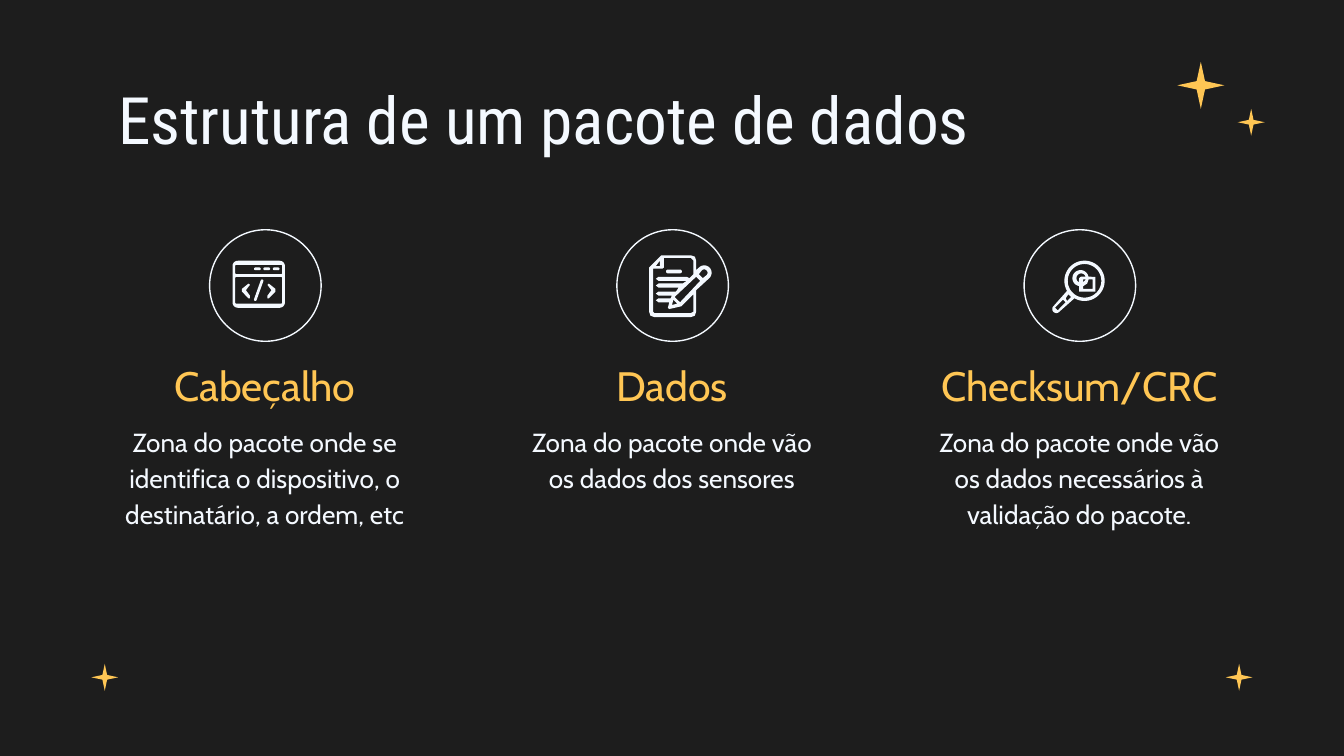
from math import cos, radians, sin

from pptx import Presentation
from pptx.dml.color import RGBColor
from pptx.enum.shapes import MSO_SHAPE
from pptx.enum.text import MSO_ANCHOR, MSO_AUTO_SIZE, PP_ALIGN
from pptx.util import Pt

PX = 9144  # 100 px to the inch
WIDE = 1000
DARK = RGBColor(0x1D, 0x1D, 0x1D)
PALE = RGBColor(0xF4, 0xF9, 0xFF)
GOLD = RGBColor(0xFF, 0xC6, 0x54)
STAR, OVAL = MSO_SHAPE.STAR_4_POINT, MSO_SHAPE.OVAL
TOP, BOTTOM = MSO_ANCHOR.TOP, MSO_ANCHOR.BOTTOM
LEFT, CENTER = PP_ALIGN.LEFT, PP_ALIGN.CENTER
FIXED = MSO_AUTO_SIZE.NONE


def px(*sizes):
    return [round(size * PX) for size in sizes]


# Outlines: lists of points in px
def arc(x, y, r, start, end, steps=24):
    turns = [radians(start + (end - start) * i / steps) for i in range(steps + 1)]
    return [(x + r * cos(t), y + r * sin(t)) for t in turns]


def panel(x, y, w, h, r):
    return (arc(x + w - r, y + r, r, -90, 0, 6) + arc(x + w - r, y + h - r, r, 0, 90, 6)
            + arc(x + r, y + h - r, r, 90, 180, 6) + arc(x + r, y + r, r, 180, 270, 6))


def dash(x, y, w, r):
    return arc(x, y, r, 90, 270, 8) + arc(x + w, y, r, -90, 90, 8)


def draw(shapes, left, top, *rings):
    """Fill one outline; its inner rings become holes."""
    rings = [[px(left + x, top + y) for x, y in ring] for ring in rings]
    pen = shapes.build_freeform(*rings[0][0], scale=1.0)
    for i, ring in enumerate(rings):
        if i:
            pen.move_to(*ring[0])
        pen.add_line_segments(ring[1:], close=True)
    shape = pen.convert_to_shape()
    shape.shadow.inherit = False
    shape.fill.solid()
    shape.fill.fore_color.rgb = PALE
    shape.line.fill.background()


# Icons, placed from the corner of their circle
def code_icon(shapes, left, top):
    draw(shapes, left, top, panel(17, 23, 39, 35, 4),
         panel(19, 26, 35, 7, 1), panel(19, 35, 35, 20, 1))
    angle = [(29, 40), (24, 44), (24, 46), (29, 51),
             (30, 51), (30, 49), (27, 45), (30, 41)]
    draw(shapes, left, top, angle)
    draw(shapes, left, top, [(73 - x, y) for x, y in angle])
    draw(shapes, left, top, arc(39, 38, 1, 200, 380, 8) + arc(34, 52, 1, 20, 200, 8))
    for x in range(34, 49, 7):
        draw(shapes, left, top, dash(x, 29, 3, 1))


def note_icon(shapes, left, top):
    draw(shapes, left, top, dash(38, 31, 9, 1.4))
    sheet = [(33, 19), (24, 28), (24, 61), (25, 64), (28, 65), (55, 65),
             (58, 64), (59, 61), (59, 45)]
    sheet += arc(65, 32, 5.5, 45, -135) + [(59, 30), (59, 23), (58, 20), (55, 19)]
    fold = [(32, 23), (32, 27), (29, 27)]
    cap = arc(65, 32, 2.5, 45, -135) + [(61, 33), (64, 36)]
    barrel = [(59, 35), (62, 38), (47, 54), (43, 50)]
    tip = [(42, 52), (45, 55), (41, 56)]
    # The inside of the sheet runs around the text lines and the pencil
    inside = [(55, 21), (57, 23), (57, 33), (54, 36)]
    for y, end, back in ((35, 52, 52), (40, 49, 46), (46, 44, 41), (51, 40, 39)):
        inside += [(end, y), (31, y), (29, y + 1.5), (31, y + 3), (back, y + 3)]
    inside += [(38, 58), (39, 59), (48, 57), (57, 48), (57, 61), (55, 62),
               (28, 62), (27, 61), (27, 29), (34, 29), (35, 28), (35, 21)]
    draw(shapes, left, top, sheet, fold, cap, barrel, tip, inside)


def lens_icon(shapes, left, top):
    draw(shapes, left, top,
         arc(45, 38, 15, 150, 480, 48) + arc(24, 59, 3, 45, 225),
         arc(45, 38, 12.5, 0, 360, 48),
         [(33, 48), (35, 50), (32, 53), (31, 51)],
         [(29, 52), (31, 54), (25, 60), (23, 58)])
    draw(shapes, left, top,
         arc(42, 36, 6, 100, 350) + [(53, 35), (53, 46), (41, 46)],
         arc(42.5, 36, 3.5, 120, 340) + [(42, 35), (41, 36)],
         [(46, 37), (44, 39), (44, 37)],
         [(51, 37), (51, 44), (44, 44), (44, 42), (47, 40), (48, 37)])


def write(shape, text, font, size, color, align, anchor, space=None):
    frame = shape.text_frame
    frame.word_wrap, frame.auto_size = True, FIXED
    frame.vertical_anchor = anchor
    frame.margin_left = frame.margin_right = 10 * PX
    frame.margin_top = frame.margin_bottom = 10 * PX
    para = frame.paragraphs[0]
    para.alignment = align
    if space:
        para.line_spacing = space
    run = para.add_run()
    run.text = text
    run.font.name, run.font.size = font, Pt(size)
    run.font.color.rgb = color


def add_title(slide, box, text):
    title = slide.shapes.title
    title.left, title.top, title.width, title.height = px(*box)
    write(title, text, "Roboto Condensed", 35, PALE, LEFT, TOP)


def add_star(shapes, left, top, size):
    star = shapes.add_shape(STAR, *px(left, top, size, size))
    star.adjustments[0] = 0.125
    star.shadow.inherit = False
    star.fill.solid()
    star.fill.fore_color.rgb = GOLD
    star.line.fill.background()


def add_part(shapes, box, icon, name, text):
    left, top, width, height = box
    ring = shapes.add_shape(OVAL, *px(left + 78, top, 83, 83))
    ring.shadow.inherit = False
    ring.fill.background()
    ring.line.color.rgb, ring.line.width = PALE, Pt(0.75)
    icon(shapes, left + 78, top)
    head = shapes.add_textbox(*px(left, top + 83, width, 61))
    write(head, name, "Cabin", 22, GOLD, CENTER, BOTTOM, 1.15)
    body = shapes.add_textbox(*px(left, top + 133, width, height - 133))
    write(body, text, "Cabin", 14, PALE, CENTER, TOP, 1.15)


PARTS = (
    (code_icon, "Cabeçalho",
     "Zona do pacote onde se identifica o dispositivo, o destinatário, a ordem, etc"),
    (note_icon, "Dados", "Zona do pacote onde vão os dados dos sensores"),
    (lens_icon, "Checksum/CRC",
     "Zona do pacote onde vão os dados necessários à validação do pacote."),
)
STARS = ((912, 494, 20), (68, 494, 20), (876, 46, 35), (921, 81, 20))


def main():
    deck = Presentation()
    deck.slide_width, deck.slide_height = px(WIDE, WIDE * 9 / 16)
    slide = deck.slides.add_slide(deck.slide_layouts[5])
    slide.background.fill.solid()
    slide.background.fill.fore_color.rgb = DARK

    add_title(slide, (78, 49, 844, 63), "Estrutura de um pacote de dados")
    for star in STARS:
        add_star(slide.shapes, *star)
    for i, part in enumerate(PARTS):
        add_part(slide.shapes, (78 + 303 * i, 171, 238, 244), *part)

    deck.save("out.pptx")


if __name__ == "__main__":
    main()
